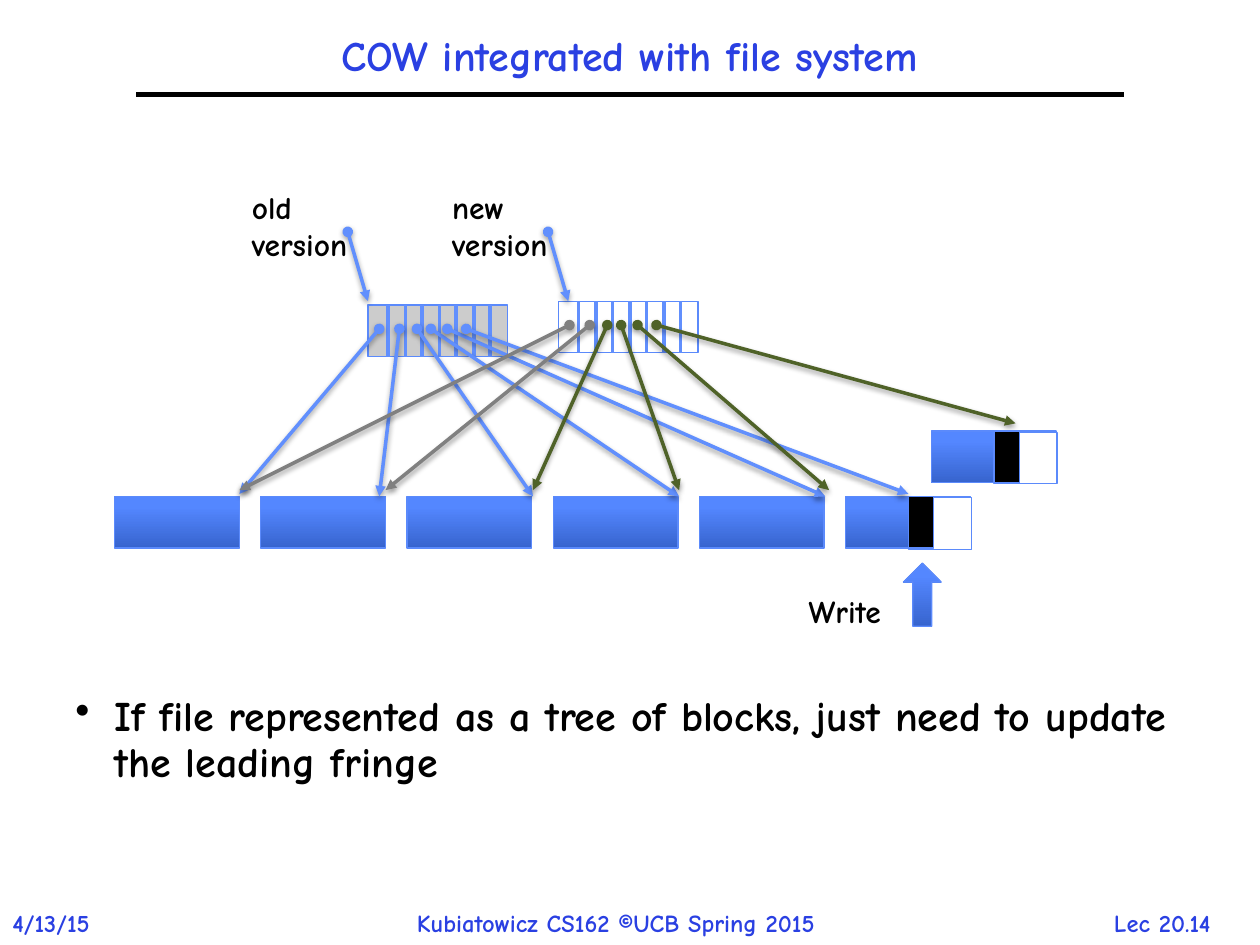
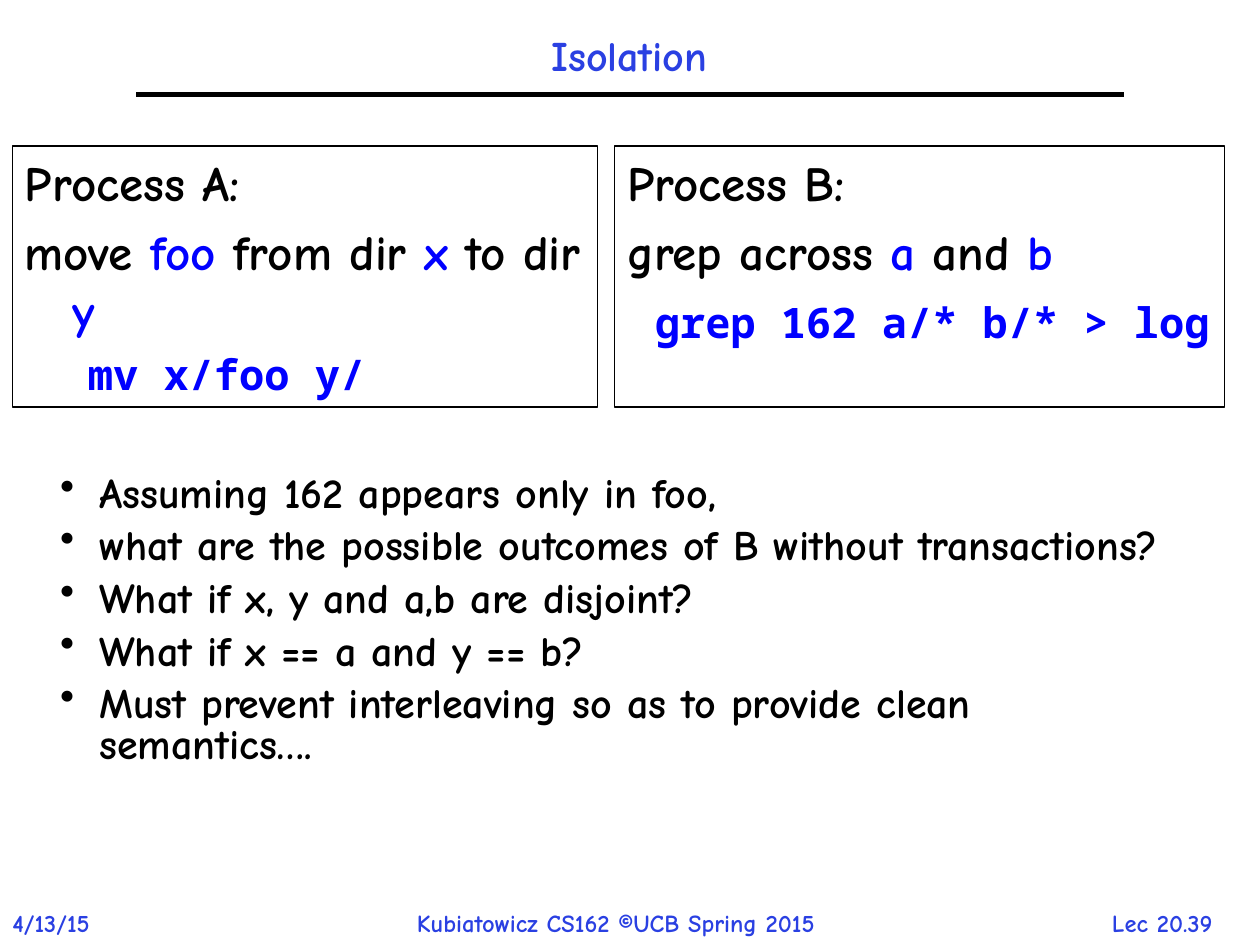
from lxml import etree
from pptx import Presentation
from pptx.dml.color import RGBColor
from pptx.enum.shapes import MSO_CONNECTOR, MSO_SHAPE
from pptx.enum.text import MSO_ANCHOR, PP_ALIGN
from pptx.oxml.ns import qn
from pptx.util import Pt

PX = 9144
FONT = "Comic Neue"
MONO = "Noto Sans Mono"
BLACK = RGBColor(0x00, 0x00, 0x00)
WHITE = RGBColor(0xFF, 0xFF, 0xFF)
TITLE_BLUE = RGBColor(0x2A, 0x40, 0xE2)
CODE_BLUE = RGBColor(0x00, 0x00, 0xFF)
EDGE_BLUE = RGBColor(0x5B, 0x8A, 0xFB)
LINK_BLUE = RGBColor(0x61, 0x8F, 0xFD)
DARK_BLUE = RGBColor(0x37, 0x64, 0xCE)
LIGHT_BLUE = RGBColor(0x54, 0x87, 0xFF)
SILVER = RGBColor(0xCC, 0xCC, 0xCC)
GRAY = RGBColor(0x80, 0x80, 0x80)
GREEN = RGBColor(0x4F, 0x62, 0x28)

BLOCK_W, BLOCK_H = 99, 41
NODE_W, NODE_H = 111, 41
POINTER_OFFSETS = (9, 25, 39, 50, 63, 78)


def emu(*lengths):
    """Turn px lengths into EMU."""
    return [length * PX for length in lengths]


def add_run(p, text, size, color=BLACK, font=FONT):
    """Add one bold run to a paragraph."""
    r = p.add_run()
    r.text = text
    r.font.name = font
    r.font.size = Pt(size)
    r.font.bold = True
    r.font.color.rgb = color


def set_indent(p, left, first):
    """Set the left margin and first-line indent of a paragraph."""
    pPr = p._p.get_or_add_pPr()
    pPr.set("marL", str(left * PX))
    pPr.set("indent", str(first * PX))
    return pPr


def add_text(slide, box, lines, size, color=BLACK, align=PP_ALIGN.LEFT):
    """Add a text box whose lines are split by line breaks."""
    tf = slide.shapes.add_textbox(*emu(*box)).text_frame
    tf.word_wrap = True
    p = tf.paragraphs[0]
    p.alignment = align
    for i, line in enumerate(lines):
        if i:
            p.add_line_break()
        add_run(p, line, size, color)


def add_bullets(slide, box, items, spacing):
    """Add a bulleted list with the given line spacing."""
    tf = slide.shapes.add_textbox(*emu(*box)).text_frame
    tf.word_wrap = True
    for i, item in enumerate(items):
        p = tf.add_paragraph() if i else tf.paragraphs[0]
        bullet = etree.SubElement(set_indent(p, 31, -31), qn("a:buChar"))
        bullet.set("char", "•")
        p.line_spacing = spacing
        if i:
            p.space_before = Pt(7)
        add_run(p, item, 24)


def add_box(slide, box, fill=None, line=EDGE_BLUE, kind=MSO_SHAPE.RECTANGLE):
    """Add an outlined shape, shaded blue unless a fill is given."""
    sp = slide.shapes.add_shape(kind, *emu(*box))
    sp.shadow.inherit = False
    sp.line.color.rgb = line
    sp.line.width = Pt(0.75)
    if fill is not None:
        sp.fill.solid()
        sp.fill.fore_color.rgb = fill
        return sp
    sp.fill.gradient()
    sp.fill.gradient_angle = 90
    stops = sp.fill.gradient_stops
    for stop, color, position in zip(stops, (DARK_BLUE, LIGHT_BLUE), (0, 0.8)):
        stop.color.rgb = color
        stop.position = position
    return sp


def add_line(slide, start, end, color, width=2):
    """Add a straight line and return it with its empty effect list."""
    line = slide.shapes.add_connector(MSO_CONNECTOR.STRAIGHT, *emu(*start, *end))
    line.line.color.rgb = color
    line.line.width = Pt(width)
    effects = etree.SubElement(line._element.spPr, qn("a:effectLst"))
    return line, effects


def add_pointer(slide, start, end, color=LINK_BLUE):
    """Add a shadowed arrow that starts at a dot."""
    line, effects = add_line(slide, start, end, color)
    ln = line.line._get_or_add_ln()
    for tag, kind in (("a:headEnd", "oval"), ("a:tailEnd", "triangle")):
        etree.SubElement(ln, qn(tag)).set("type", kind)
    shadow = etree.SubElement(effects, qn("a:outerShdw"), blurRad="40000",
                              dist="20000", dir="5400000", rotWithShape="0")
    shade = etree.SubElement(shadow, qn("a:srgbClr"), val=str(BLACK))
    etree.SubElement(shade, qn("a:alpha"), val="38000")


def add_frame(prs, title, number):
    """Add a slide with its title, rule and footer."""
    slide = prs.slides.add_slide(prs.slide_layouts[5])
    sp = slide.shapes.title
    sp.left, sp.top, sp.width, sp.height = emu(108, 17, 783, 58)
    tf = sp.text_frame
    tf.vertical_anchor = MSO_ANCHOR.MIDDLE
    p = tf.paragraphs[0]
    p.alignment = PP_ALIGN.CENTER
    p.line_spacing = 0.9
    add_run(p, title, 24, TITLE_BLUE)
    add_line(slide, (108, 75), (892, 75), BLACK, 3)
    for left, width, text, align in (
        (0, 100, "4/13/15", PP_ALIGN.LEFT),
        (321, 387, "Kubiatowicz CS162 ©UCB Spring 2015", PP_ALIGN.LEFT),
        (856, 133, f"Lec {number}", PP_ALIGN.CENTER),
    ):
        add_text(slide, (left, 716, width, 34), [text], 14, TITLE_BLUE, align)
    return slide


def add_node(slide, left, top, fill):
    """Add an index node divided into eight pointer cells."""
    add_box(slide, (left, top, NODE_W, NODE_H), fill)
    for i in range(7):
        x = left + 16 + (27 * i + 1) // 2
        add_line(slide, (x, top), (x, top + NODE_H), LINK_BLUE)


def add_node_pointers(slide, left, top, targets, colors):
    """Draw pointers from the cells of a node to their blocks."""
    for offset, target, color in zip(POINTER_OFFSETS, targets, colors):
        add_pointer(slide, (left + offset, top + 19), target, color)


def add_fringe_block(slide, left, top):
    """Add a half-full block with its newly written part in black."""
    add_box(slide, (left, top, BLOCK_W, BLOCK_H))
    add_box(slide, (left + 50, top + 1, 50, BLOCK_H), WHITE)
    add_box(slide, (left + 50, top, 20, BLOCK_H), BLACK)


def add_version_label(slide, left, name):
    """Label a version and point from the label to its node."""
    add_text(slide, (left, 144, 133, 70), [name, "version"], 18)
    add_pointer(slide, (left + 86, 184), (left + 102, 239))


def build_cow(prs):
    """Build the copy-on-write slide."""
    slide = add_frame(prs, "COW integrated with file system", "20.14")
    add_bullets(slide, (50, 547, 900, 143), [
        "If file represented as a tree of blocks, just need to update the leading fringe",
    ], 0.9)
    for i in range(5):
        add_box(slide, (91 + 116 * i, 394, BLOCK_W, BLOCK_H))
    add_fringe_block(slide, 671, 394)
    add_node(slide, 292, 242, SILVER)
    old_targets = [(190, 392), (301, 394), (423, 394), (539, 394), (655, 394), (721, 392)]
    add_node_pointers(slide, 292, 242, old_targets, [LINK_BLUE] * 6)
    add_box(slide, (717, 447, 30, 50), kind=MSO_SHAPE.UP_ARROW)
    add_text(slide, (632, 465, 85, 40), ["Write"], 18)
    add_node(slide, 443, 239, WHITE)
    new_targets = [(x, 389) for x in (190, 306, 423, 539, 658)] + [(806, 336)]
    add_node_pointers(slide, 443, 239, new_targets, [GRAY] * 2 + [GREEN] * 4)
    add_fringe_block(slide, 739, 342)
    add_version_label(slide, 190, "old")
    add_version_label(slide, 349, "new")


def add_process(slide, box, name, action, command, command_left, command_gap):
    """Add a framed process with its action and shell command."""
    sp = add_box(slide, box, WHITE, BLACK)
    sp.fill.background()
    tf = sp.text_frame
    tf.word_wrap = True
    tf.vertical_anchor = MSO_ANCHOR.TOP
    paragraphs = (
        ([(f"Process {name}:", BLACK)], 28, FONT, 38, -38, 0),
        (action, 28, FONT, 38, -38, 6),
        ([(command, CODE_BLUE)], 24, MONO, command_left, 0, command_gap),
    )
    for i, (runs, size, font, left, first, gap) in enumerate(paragraphs):
        p = tf.add_paragraph() if i else tf.paragraphs[0]
        p.alignment = PP_ALIGN.LEFT
        set_indent(p, left, first)
        if gap:
            p.space_before = Pt(gap)
        for text, color in runs:
            add_run(p, text, size, color, font)


def build_isolation(prs):
    """Build the isolation slide."""
    slide = add_frame(prs, "Isolation", "20.39")
    add_bullets(slide, (38, 373, 900, 294), [
        "Assuming 162 appears only in foo,",
        "what are the possible outcomes of B without transactions?",
        "What if x, y and a,b are disjoint?",
        "What if x == a and y == b?",
        "Must prevent interleaving so as to provide clean semantics….",
    ], 0.8)
    add_process(slide, (10, 116, 464, 207), "A", [
        ("move ", BLACK), ("foo", CODE_BLUE), (" from dir ", BLACK),
        ("x", CODE_BLUE), (" to dir ", BLACK), ("y", CODE_BLUE),
    ], "mv x/foo y/", 50, 5)
    add_process(slide, (488, 116, 484, 207), "B", [
        ("grep across ", BLACK), ("a", CODE_BLUE), (" and ", BLACK), ("b", CODE_BLUE),
    ], "grep 162 a/* b/* > log", 22, 9)


def main():
    """Build and save the presentation."""
    prs = Presentation()
    prs.slide_width, prs.slide_height = emu(1000, 750)
    build_cow(prs)
    build_isolation(prs)
    prs.save("out.pptx")


if __name__ == "__main__":
    main()
